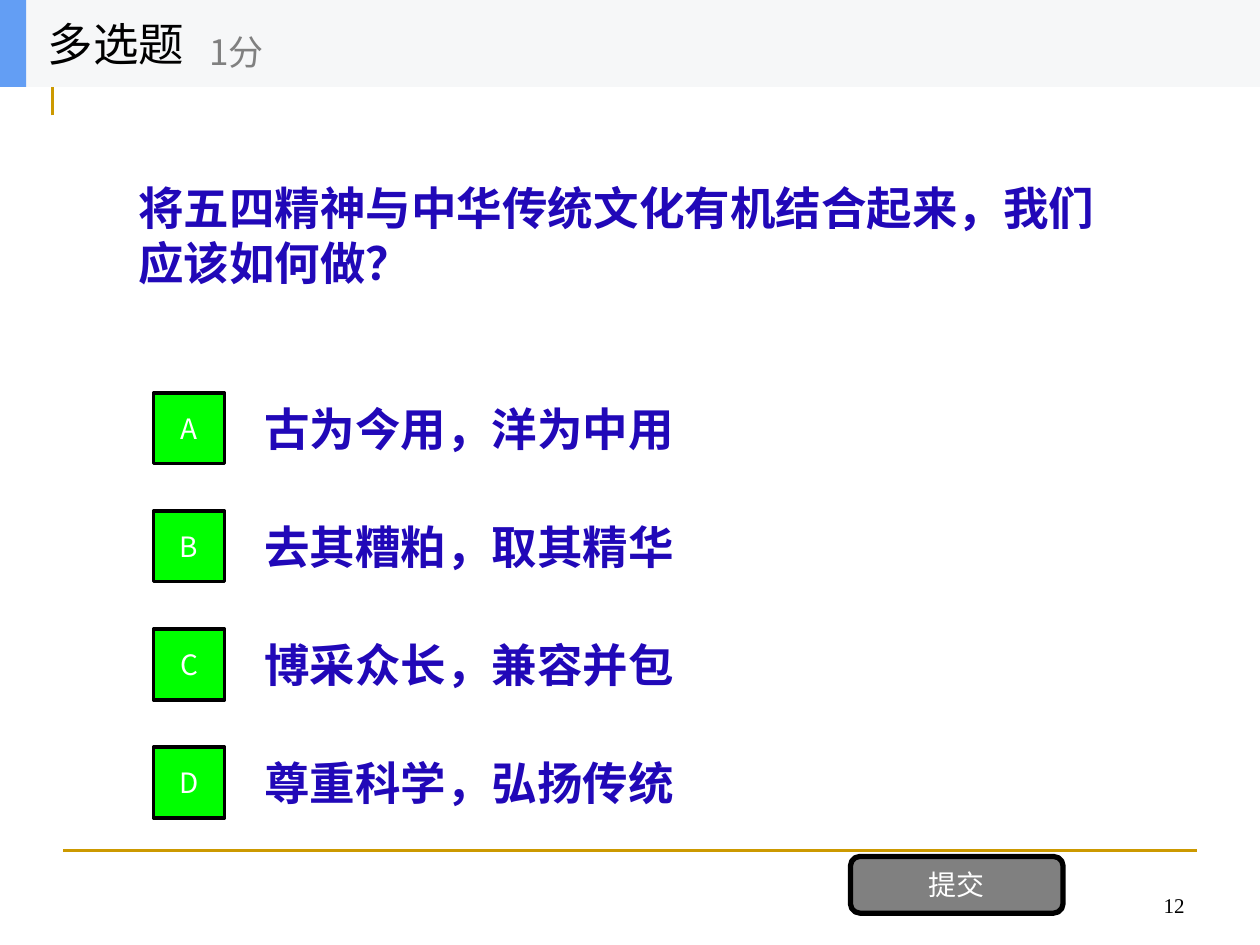
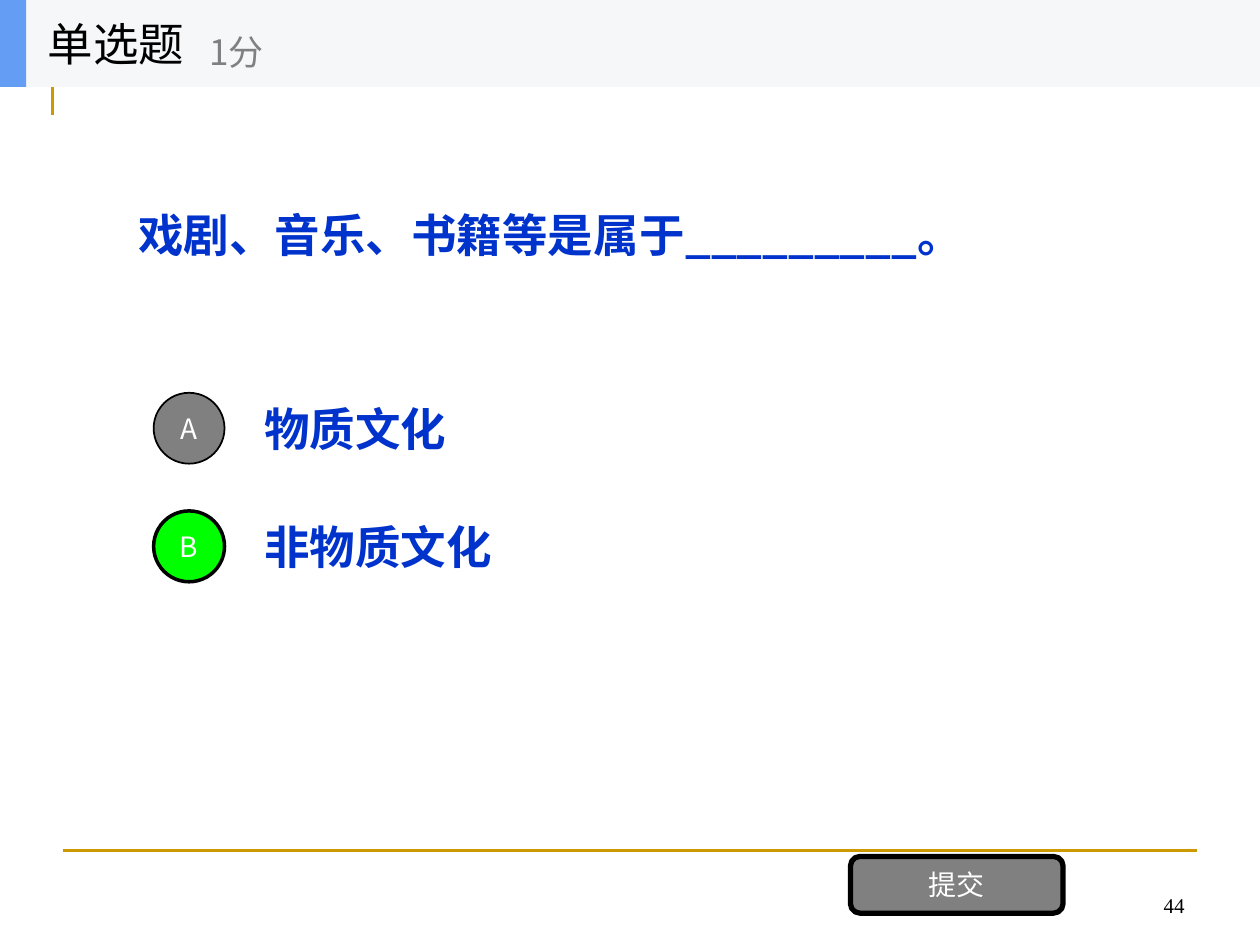
from lxml.etree import SubElement
from pptx import Presentation
from pptx.dml.color import RGBColor
from pptx.enum.shapes import MSO_CONNECTOR, MSO_SHAPE
from pptx.enum.text import MSO_ANCHOR, PP_ALIGN
from pptx.oxml.ns import qn
from pptx.util import Pt

BLACK = RGBColor(0x00, 0x00, 0x00)
WHITE = RGBColor(0xFF, 0xFF, 0xFF)
GRAY = RGBColor(0x80, 0x80, 0x80)
GREEN = RGBColor(0x00, 0xFF, 0x00)
GOLD = RGBColor(0xCC, 0x99, 0x00)
BAND = RGBColor(0xF6, 0xF7, 0xF8)
ACCENT = RGBColor(0x63, 0x9E, 0xF4)
INDIGO = RGBColor(0x21, 0x08, 0xB8)
BLUE = RGBColor(0x00, 0x33, 0xCC)

SANS = "Noto Sans CJK SC"
SERIF = "Times New Roman"
OPTION_TOP, OPTION_PITCH = 219.4, 67.5
OPTION_HEIGHT, BADGE = 50.6, 40.5


def write(sp, text, size=26, color=BLACK, bold=False, font=SANS,
          align=PP_ALIGN.LEFT, anchor=MSO_ANCHOR.MIDDLE):
    tf = sp.text_frame
    tf.word_wrap = True
    tf.vertical_anchor = anchor
    p = tf.paragraphs[0]
    p.alignment = align
    r = p.add_run()
    r.text = text
    r.font.size = Pt(size)
    r.font.bold = bold
    r.font.name = font
    r.font.color.rgb = color
    SubElement(r._r.get_or_add_rPr(), qn("a:ea"), typeface=font)


class QuizDeck:
    def __init__(self):
        self.prs = Presentation()
        self.prs.slide_width, self.prs.slide_height = Pt(720), Pt(540)

    def new_slide(self):
        self.s = self.prs.slides.add_slide(self.prs.slide_layouts[6])

    def text(self, box, text, parent=None, **fmt):
        sp = (parent or self.s).shapes.add_textbox(*map(Pt, box))
        write(sp, text, **fmt)

    def shape(self, kind, box, fill, line=0, label=None, parent=None):
        sp = (parent or self.s).shapes.add_shape(kind, *map(Pt, box))
        sp.shadow.inherit = False
        sp.fill.solid()
        sp.fill.fore_color.rgb = fill
        if line:
            sp.line.color.rgb = BLACK
            sp.line.width = Pt(line)
        else:
            sp.line.fill.background()
        if label:
            write(sp, label, size=16, color=WHITE, align=PP_ALIGN.CENTER)

    def rules(self):
        fb = self.s.shapes.build_freeform(Pt(30), Pt(66))
        fb.add_line_segments([(Pt(30), Pt(18)), (Pt(678), Pt(18))], close=False)
        corner = fb.convert_to_shape()
        corner.shadow.inherit = False
        corner.fill.background()
        base = self.s.shapes.add_connector(
            MSO_CONNECTOR.STRAIGHT, Pt(36), Pt(486), Pt(684), Pt(486))
        SubElement(base._element.spPr, qn("a:effectLst"))
        for sp in (corner, base):
            sp.line.color.rgb = GOLD
            sp.line.width = Pt(1.5)

    def header(self, title, score):
        group = self.s.shapes.add_group_shape()
        self.shape(MSO_SHAPE.RECTANGLE, (0, 0, 720, 49.7), BAND, parent=group)
        self.shape(MSO_SHAPE.RECTANGLE, (0, 0, 15, 49.7), ACCENT, parent=group)
        self.text((20.3, 0, 150, 49.7), title, group)
        self.text((112.5, 9, 180, 40.5), score, group, size=20, color=GRAY)

    def option(self, i, text, color, kind, correct):
        top = OPTION_TOP + i * OPTION_PITCH
        self.text((144, top, 504, OPTION_HEIGHT), text, color=color, bold=True)
        badge_top = top + (OPTION_HEIGHT - BADGE) / 2
        self.shape(kind, (87.8, badge_top, BADGE, BADGE),
                   GREEN if correct else GRAY, 2 if correct else 1, "ABCD"[i])

    def question(self, title, number, text, options, answers, color, kind):
        self.new_slide()
        self.rules()
        self.text((516, 492, 168, 36), str(number), size=12, font=SERIF,
                  align=PP_ALIGN.RIGHT, anchor=MSO_ANCHOR.BOTTOM)
        self.text((72, 49.7, 576, 168.7), text, color=color, bold=True)
        for i, option in enumerate(options):
            self.option(i, option, color, kind, "ABCD"[i] in answers)
        self.shape(MSO_SHAPE.ROUNDED_RECTANGLE, (486, 489.4, 121.5, 32.4),
                   GRAY, 3, "提交")
        self.header(title, "1分")


def main():
    deck = QuizDeck()
    deck.question(
        "多选题", 12, "将五四精神与中华传统文化有机结合起来，我们应该如何做？",
        ["古为今用，洋为中用", "去其糟粕，取其精华",
         "博采众长，兼容并包", "尊重科学，弘扬传统"],
        "ABCD", INDIGO, MSO_SHAPE.RECTANGLE)
    deck.question(
        "单选题", 44, "戏剧、音乐、书籍等是属于_________。",
        ["物质文化", "非物质文化"], "B", BLUE, MSO_SHAPE.OVAL)
    deck.prs.save("out.pptx")


if __name__ == "__main__":
    main()
